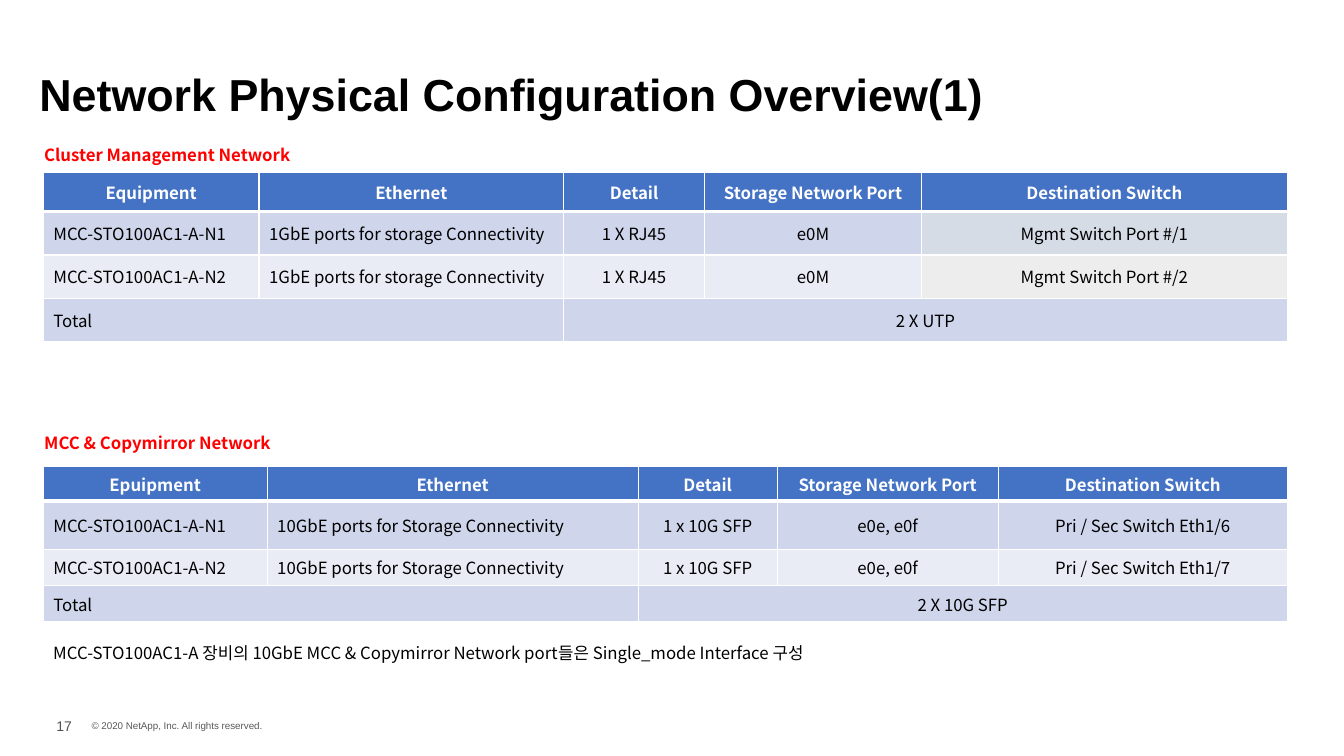
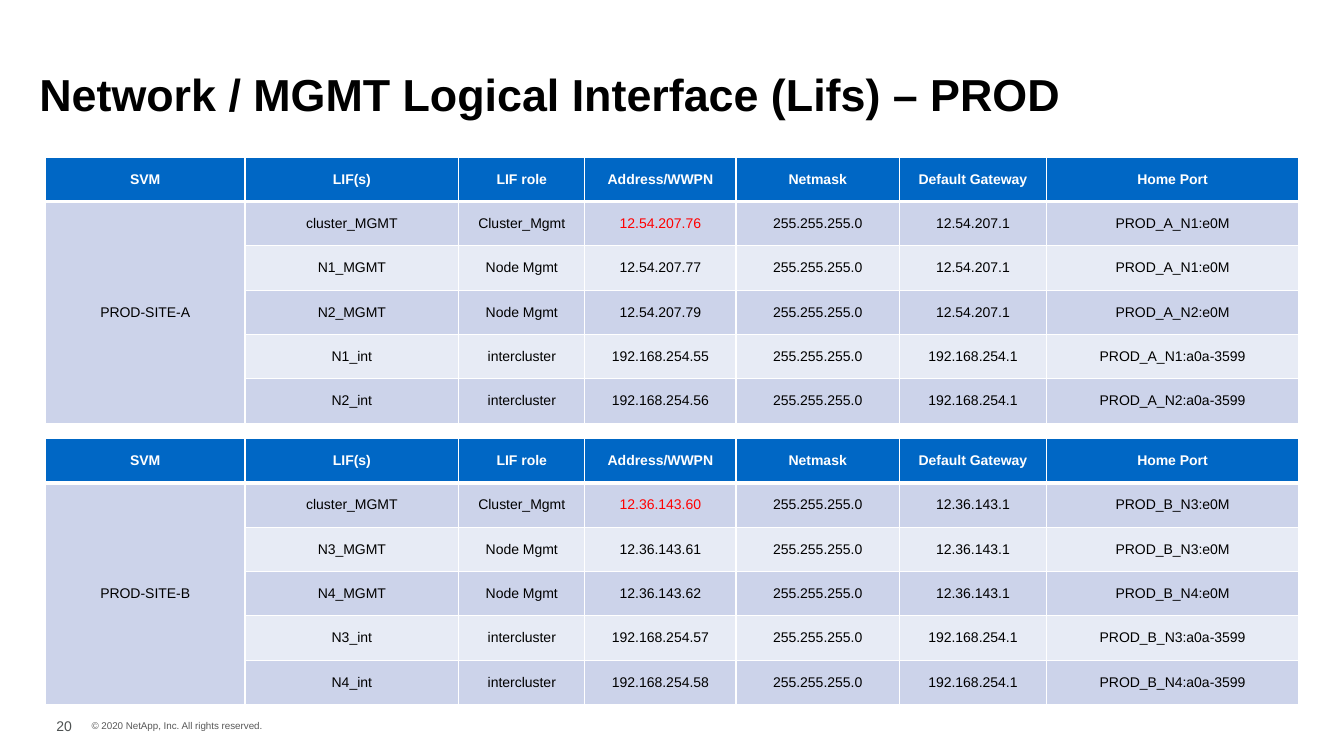
from dataclasses import dataclass

from lxml import etree
from pptx import Presentation
from pptx.dml.color import RGBColor
from pptx.enum import text
from pptx.oxml import ns
from pptx.util import Inches, Pt


@dataclass(frozen=True)
class Theme:
    # Colours
    black: str = "000000"
    white: str = "FFFFFF"
    red: str = "FF0000"
    copyright: str = "595959"
    page: str = "4E5252"
    # Fonts and type sizes
    sans: str = "Arial"
    cjk: str = "Noto Sans CJK KR"
    title_size: int = 32
    text_size: int = 12
    page_size: int = 10
    copyright_size: int = 7
    # Table rules, in points
    rule: int = 1
    header_rule: int = 3


@dataclass(frozen=True)
class TableLook:
    font: str
    size: int
    header: str
    bands: tuple


THEME = Theme()
PORT_LOOK = TableLook(THEME.cjk, 12, "4472C4", ("CFD5EA", "E9EBF5"))
LIF_LOOK = TableLook(THEME.sans, 10, "0067C5", ("CCD3EA", "E7EBF5"))


class Deck:
    def __init__(self, theme):
        self.theme = theme
        self.prs = Presentation()
        self.prs.slide_width = Inches(13.33)
        self.prs.slide_height = Inches(7.5)
        self.s = None

    def style(self, p, font, size, color, bold=False, align=text.PP_ALIGN.LEFT):
        p.alignment = align
        p.font.size = Pt(size)
        p.font.bold = bold
        p.font.color.rgb = RGBColor.from_string(color)
        p.font.name = font
        props = p._p.get_or_add_pPr().get_or_add_defRPr()
        etree.SubElement(props, ns.qn("a:ea"), typeface=font)

    def slide(self, title, number):
        t = self.theme
        self.s = self.prs.slides.add_slide(self.prs.slide_layouts[5])
        # Title
        sp = self.s.shapes.title
        sp.left, sp.top = Inches(0.29), Inches(0.25)
        sp.width, sp.height = Inches(12.75), Inches(1)
        tf = sp.text_frame
        tf.text = title
        tf.word_wrap = True
        tf.auto_size = text.MSO_AUTO_SIZE.NONE
        tf.vertical_anchor = text.MSO_ANCHOR.BOTTOM
        p = tf.paragraphs[0]
        p.line_spacing = 1.4
        self.style(p, t.sans, t.title_size, t.black, bold=True)
        # Footer
        self.label("© 2020 NetApp, Inc. All rights reserved.", (0.81, 7.09, 1.96, 0.22),
                   t.sans, t.copyright_size, t.copyright, wrap=False)
        self.label(str(number), (0.46, 7.07, 0.49, 0.29), t.sans, t.page_size, t.page)

    def label(self, words, box, font, size, color, bold=False, wrap=True):
        tf = self.s.shapes.add_textbox(*map(Inches, box)).text_frame
        tf.word_wrap = wrap
        tf.text = words
        self.style(tf.paragraphs[0], font, size, color, bold)

    def caption(self, words, top):
        t = self.theme
        self.label(words, (0.34, top, 3.43, 0.3), t.cjk, t.text_size, t.red, bold=True)

    def note(self, words, box):
        t = self.theme
        self.label(words, box, t.cjk, t.text_size, t.black)

    def borders(self, cell, top, bottom):
        tc_pr = cell._tc.get_or_add_tcPr()
        rule = self.theme.rule
        for side, width in (("L", rule), ("R", rule), ("T", top), ("B", bottom)):
            ln = etree.SubElement(tc_pr, ns.qn(f"a:ln{side}"), w=str(Pt(width)))
            fill = etree.SubElement(ln, ns.qn("a:solidFill"))
            etree.SubElement(fill, ns.qn("a:srgbClr"), val=self.theme.white)

    def table(self, left, top, cols, heights, rows, look,
              left_cols=(), merges=(), fills=None, inks=None):
        t = self.theme
        fills, inks = fills or {}, inks or {}
        frame = self.s.shapes.add_table(
            len(rows), len(cols), Inches(left), Inches(top),
            Inches(sum(cols)), Inches(sum(heights)))
        table = frame.table
        for column, width in zip(table.columns, cols):
            column.width = Inches(width)
        for row, height in zip(table.rows, heights):
            row.height = Inches(height)
        for r, values in enumerate(rows):
            header = r == 0
            band = look.header if header else look.bands[(r - 1) % 2]
            ink = t.white if header else t.black
            for c, value in enumerate(values):
                cell = table.cell(r, c)
                cell.text = value
                cell.vertical_anchor = text.MSO_ANCHOR.MIDDLE
                self.borders(cell, t.header_rule if r == 1 else t.rule,
                             t.header_rule if header else t.rule)
                cell.fill.solid()
                cell.fill.fore_color.rgb = RGBColor.from_string(fills.get((r, c), band))
                at_left = c in left_cols and not header
                align = text.PP_ALIGN.LEFT if at_left else text.PP_ALIGN.CENTER
                self.style(cell.text_frame.paragraphs[0], look.font, look.size,
                           inks.get((r, c), ink), header, align)
        for first, last in merges:
            table.cell(*first).merge(table.cell(*last))

    def port_table(self, top, cols, heights, rows, fills=None):
        last = len(rows) - 1
        self.table(0.43, top, cols, heights, rows, PORT_LOOK, left_cols=(0, 1),
                   merges=(((last, 0), (last, 1)), ((last, 2), (last, 4))), fills=fills)

    def lif_table(self, top, svm, lifs):
        rows = [("SVM", "LIF(s)", "LIF role", "Address/WWPN", "Netmask",
                 "Default Gateway", "Home Port")]
        for i, (lif, role, address, gateway, port) in enumerate(lifs):
            rows.append(("" if i else svm, lif, role, address, "255.255.255.0",
                         gateway, port))
        self.table(0.45, top, (1.98, 2.12, 1.25, 1.5, 1.62, 1.46, 2.5),
                   [0.44] * len(rows), rows, LIF_LOOK,
                   merges=(((1, 0), (len(lifs), 0)),), inks={(1, 3): self.theme.red})


def physical_slide(deck):
    deck.slide("Network Physical Configuration Overview(1)", 17)
    # Cluster management ports
    deck.caption("Cluster Management Network", 1.39)
    deck.port_table(1.71, (2.14, 3.02, 1.4, 2.15, 3.63), (0.39, 0.43, 0.43, 0.43), (
        ("Equipment", "Ethernet", "Detail", "Storage Network Port", "Destination Switch"),
        ("MCC-STO100AC1-A-N1", "1GbE ports for storage Connectivity", "1 X RJ45", "e0M",
         "Mgmt Switch Port #/1"),
        ("MCC-STO100AC1-A-N2", "1GbE ports for storage Connectivity", "1 X RJ45", "e0M",
         "Mgmt Switch Port #/2"),
        ("Total", "", "2 X UTP", "", ""),
    ), fills={(1, 4): "D6DCE5", (2, 4): "EDEDED"})
    # Mirror ports
    deck.caption("MCC & Copymirror Network", 4.24)
    deck.port_table(4.63, (2.22, 3.68, 1.38, 2.19, 2.87), (0.34, 0.48, 0.36, 0.36), (
        ("Epuipment", "Ethernet", "Detail", "Storage Network Port", "Destination Switch"),
        ("MCC-STO100AC1-A-N1", "10GbE ports for Storage Connectivity", "1 x 10G SFP",
         "e0e, e0f", "Pri / Sec Switch Eth1/6"),
        ("MCC-STO100AC1-A-N2", "10GbE ports for Storage Connectivity", "1 x 10G SFP",
         "e0e, e0f", "Pri / Sec Switch Eth1/7"),
        ("Total", "", "2 X 10G SFP", "", ""),
    ))
    deck.note("MCC-STO100AC1-A 장비의 10GbE MCC & Copymirror Network port들은 "
              "Single_mode Interface 구성", (0.43, 6.33, 9.3, 0.3))


def logical_slide(deck):
    deck.slide("Network / MGMT Logical Interface (Lifs) – PROD", 20)
    # Site A
    deck.lif_table(1.56, "PROD-SITE-A", (
        ("cluster_MGMT", "Cluster_Mgmt", "12.54.207.76", "12.54.207.1", "PROD_A_N1:e0M"),
        ("N1_MGMT", "Node Mgmt", "12.54.207.77", "12.54.207.1", "PROD_A_N1:e0M"),
        ("N2_MGMT", "Node Mgmt", "12.54.207.79", "12.54.207.1", "PROD_A_N2:e0M"),
        ("N1_int", "intercluster", "192.168.254.55", "192.168.254.1", "PROD_A_N1:a0a-3599"),
        ("N2_int", "intercluster", "192.168.254.56", "192.168.254.1", "PROD_A_N2:a0a-3599"),
    ))
    # Site B
    deck.lif_table(4.35, "PROD-SITE-B", (
        ("cluster_MGMT", "Cluster_Mgmt", "12.36.143.60", "12.36.143.1", "PROD_B_N3:e0M"),
        ("N3_MGMT", "Node Mgmt", "12.36.143.61", "12.36.143.1", "PROD_B_N3:e0M"),
        ("N4_MGMT", "Node Mgmt", "12.36.143.62", "12.36.143.1", "PROD_B_N4:e0M"),
        ("N3_int", "intercluster", "192.168.254.57", "192.168.254.1", "PROD_B_N3:a0a-3599"),
        ("N4_int", "intercluster", "192.168.254.58", "192.168.254.1", "PROD_B_N4:a0a-3599"),
    ))


def main():
    deck = Deck(THEME)
    physical_slide(deck)
    logical_slide(deck)
    deck.prs.save("out.pptx")


if __name__ == "__main__":
    main()
